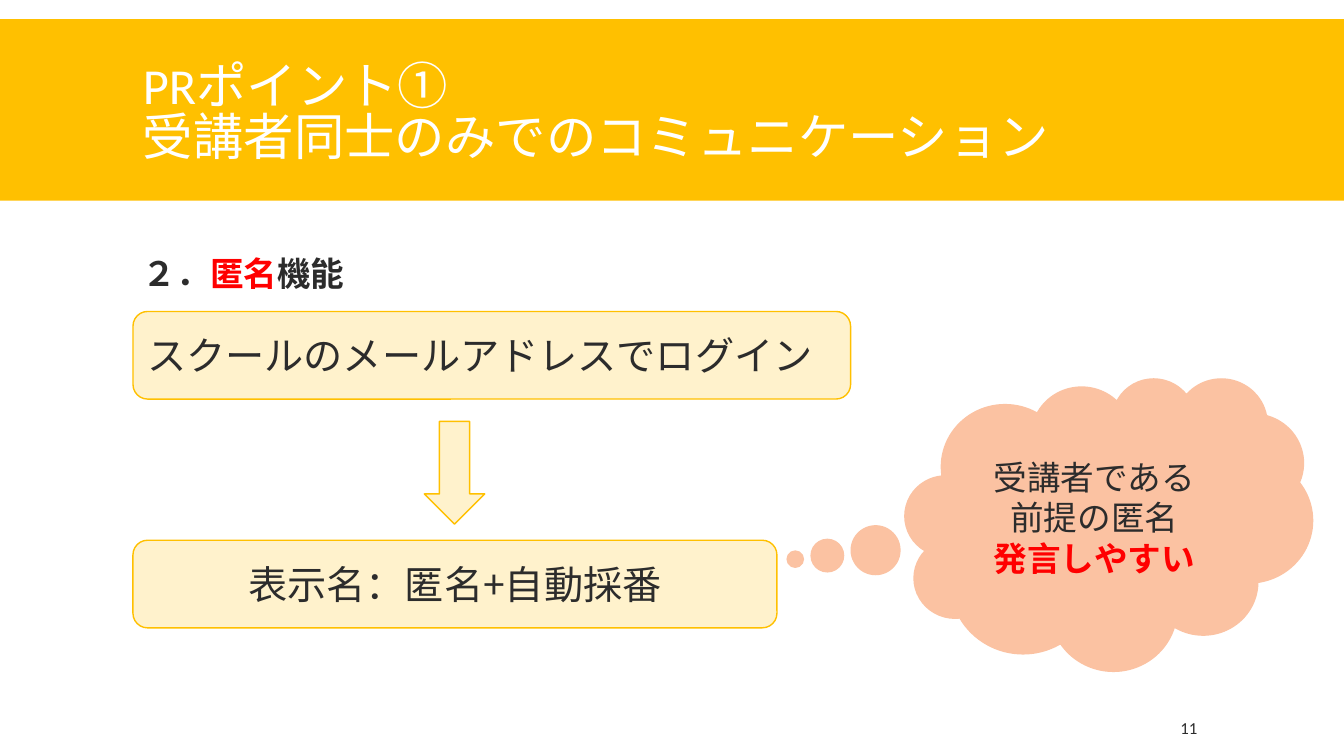
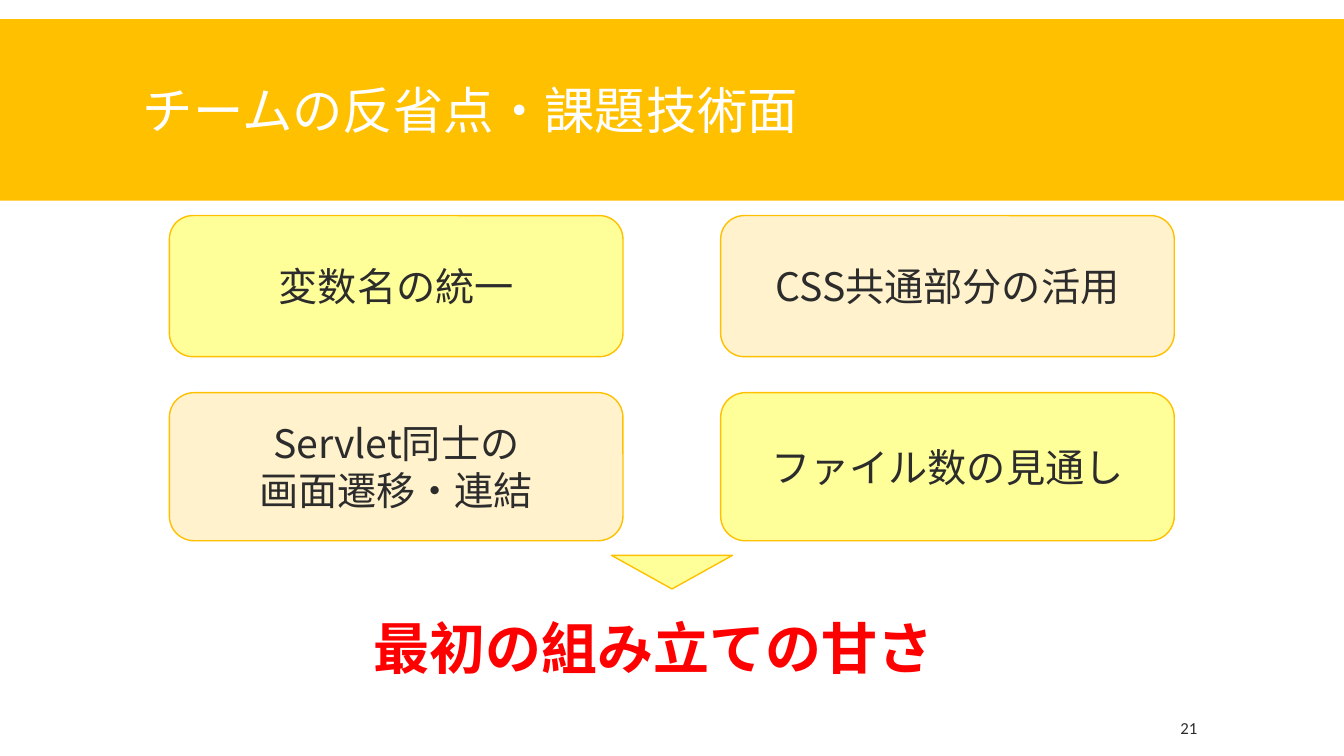
"""Build two slides on anonymous chat and on the team's technical lessons."""
import pptx
import pptx.dml.color
import pptx.enum.shapes
import pptx.enum.text
import pptx.oxml
import pptx.oxml.ns
import pptx.util

Pt = pptx.util.Pt
RGBColor = pptx.dml.color.RGBColor
MSO_SHAPE = pptx.enum.shapes.MSO_SHAPE
MSO_ANCHOR = pptx.enum.text.MSO_ANCHOR
PP_ALIGN = pptx.enum.text.PP_ALIGN

WHITE = RGBColor(0xFF, 0xFF, 0xFF)
GOLD = RGBColor(0xFF, 0xC0, 0x00)
CREAM = RGBColor(0xFF, 0xF2, 0xCC)
YELLOW = RGBColor(0xFF, 0xFF, 0x99)
PEACH = RGBColor(0xFB, 0xC2, 0xA2)
INK = RGBColor(0x2C, 0x2C, 0x2C)
RED = RGBColor(0xFF, 0x00, 0x00)
LATIN = "Calibri"
CJK = "Noto Sans CJK JP"
MARGIN = 95


def add_shape(s, kind, box, fill, line=GOLD):
    """Add a flat preset shape with the given fill and outline."""
    sp = s.shapes.add_shape(kind, *map(Pt, box))
    sp.shadow.inherit = False
    sp.fill.solid()
    sp.fill.fore_color.rgb = fill
    sp.line.color.rgb = line
    sp.line.width = Pt(1)
    return sp


def style(sp, size, color=INK, font=CJK, bold=False,
          align=PP_ALIGN.LEFT, anchor=MSO_ANCHOR.MIDDLE, spacing=1.0):
    """Format all the text of a shape."""
    tf = sp.text_frame
    tf.word_wrap = True
    tf.vertical_anchor = anchor
    for p in tf.paragraphs:
        p.alignment = align
        p.line_spacing = spacing
        for r in p.runs:
            r.font.size = Pt(size)
            r.font.name = font
            r.font.bold = bold
            r.font.color.rgb = color
            ea = pptx.oxml.parse_xml(
                f'<a:ea {pptx.oxml.ns.nsdecls("a")} typeface="{CJK}"/>')
            r.font._element.find(pptx.oxml.ns.qn("a:latin")).addnext(ea)


prs = pptx.Presentation()
prs.slide_width, prs.slide_height = Pt(960), Pt(540)

slides = []
for title, number in [
    ("PRポイント①\v受講者同士のみでのコミュニケーション", "11"),
    ("チームの反省点・課題\t技術面", "21"),
]:
    s = prs.slides.add_slide(prs.slide_layouts[6])
    slides.append(s)
    band = add_shape(s, MSO_SHAPE.RECTANGLE, (0, 13.7, 960, 129.6), GOLD)
    band.line.fill.background()

    heading = s.shapes.add_textbox(Pt(MARGIN), Pt(22.3), Pt(770.4), Pt(118.8))
    heading.text_frame.text = title
    style(heading, 36, WHITE, LATIN, spacing=0.85)

    page = s.shapes.add_textbox(Pt(839.5), Pt(505.4), Pt(74.2), Pt(28.8))
    page.text_frame.text = number
    page.text_frame.margin_left = Pt(3.6)
    style(page, 12, font=LATIN)

anonymity, lessons = slides

body = anonymity.shapes.add_textbox(Pt(MARGIN), Pt(180), Pt(634.3), Pt(301))
body.text_frame.text = "２．"
p = body.text_frame.paragraphs[0]
for text in ("匿名", "機能"):
    p.add_run().text = text
style(body, 24, font=LATIN, bold=True, anchor=MSO_ANCHOR.TOP, spacing=0.9)
p.runs[1].font.color.rgb = RED

for text, top, width, align in [
    ("スクールのメールアドレスでログイン", 222.5, 512.6, PP_ALIGN.LEFT),
    ("表示名：匿名+自動採番", 385.9, 460, PP_ALIGN.CENTER),
]:
    step = add_shape(anonymity, MSO_SHAPE.ROUNDED_RECTANGLE,
                     (MARGIN, top, width, 62.6), CREAM)
    step.text_frame.text = text
    style(step, 28, align=align)
add_shape(anonymity, MSO_SHAPE.DOWN_ARROW, (303.1, 301, 43.2, 73.4), CREAM)

cloud = add_shape(anonymity, MSO_SHAPE.CLOUD_CALLOUT,
                  (646.6, 270, 290.9, 208.8), PEACH, PEACH)
cloud.adjustments[0] = -0.77
cloud.adjustments[1] = 0.12
cloud.text_frame.text = "受講者である\n前提の匿名\n発言しやすい"
style(cloud, 24, align=PP_ALIGN.CENTER)
font = cloud.text_frame.paragraphs[-1].runs[0].font
font.bold = True
font.color.rgb = RED

issues = [
    ["変数名の統一", "CSS共通部分の活用"],
    ["Servlet同士の\n画面遷移・連結", "ファイル数の見通し"],
]
for row, (top, height) in enumerate([(154, 100.8), (280.5, 105.8)]):
    for col, text in enumerate(issues[row]):
        fill = YELLOW if row == col else CREAM
        card = add_shape(lessons, MSO_SHAPE.ROUNDED_RECTANGLE,
                         (121 + col * 393.8, top, 324, height), fill)
        card.text_frame.text = text
        style(card, 28, align=PP_ALIGN.CENTER)

pointer = add_shape(lessons, MSO_SHAPE.ISOSCELES_TRIANGLE,
                    (436.8, 396.7, 86.4, 24), YELLOW)
pointer.rotation = 180

conclusion = lessons.shapes.add_textbox(Pt(260), Pt(434.9), Pt(440), Pt(55.4))
conclusion.text_frame.text = "最初の組み立ての甘さ"
style(conclusion, 40, RED, bold=True, anchor=MSO_ANCHOR.TOP)

prs.save("out.pptx")
